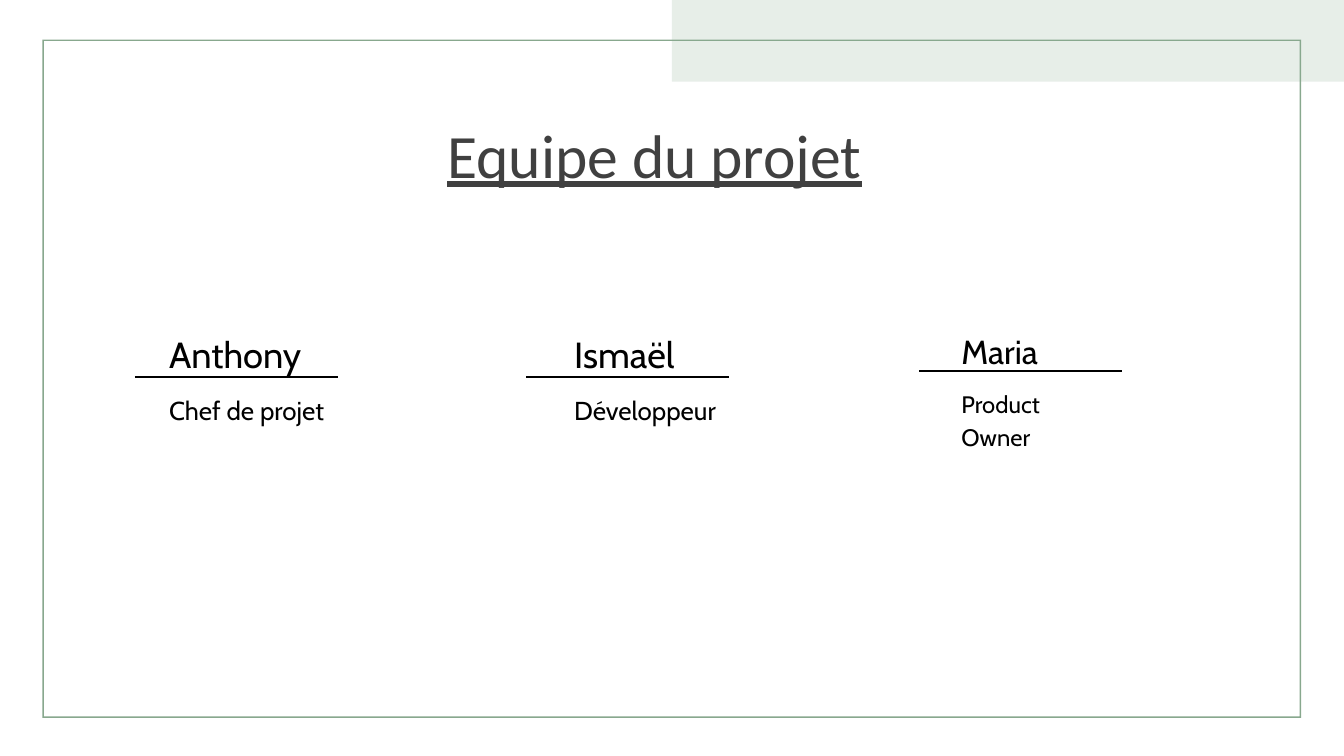
"""Build the project team slide."""
from pptx import Presentation
from pptx.dml.color import RGBColor
from pptx.enum.shapes import MSO_CONNECTOR, MSO_SHAPE
from pptx.enum.text import MSO_ANCHOR, PP_ALIGN
from pptx.oxml.ns import qn
from pptx.util import Cm, Pt
from lxml.etree import SubElement

PALE = RGBColor(0xE7, 0xEE, 0xE8)
GREEN = RGBColor(0x88, 0xA8, 0x8E)
GREY = RGBColor(0x40, 0x40, 0x40)
BLACK = RGBColor(0, 0, 0)

deck = Presentation()
deck.slide_width, deck.slide_height = Cm(33.87), Cm(19.05)
slide = deck.slides.add_slide(deck.slide_layouts[6])
shapes = slide.shapes


def add_panel(kind, box, color):
    panel = shapes.add_shape(kind, *map(Cm, box))
    panel.shadow.inherit = False
    panel.fill.solid()
    panel.fill.fore_color.rgb = color
    panel.line.fill.background()
    return panel


def add_words(para, text, font, size, color):
    run = para.add_run()
    run.text = text
    run.font.name = font
    run.font.size = Pt(size)
    run.font.color.rgb = color
    return run


add_panel(MSO_SHAPE.RECTANGLE, (16.93, 0, 16.94, 2.06), PALE)
border = add_panel(MSO_SHAPE.FRAME, (1.07, 1, 31.72, 17.09), GREEN)
border.adjustments[0] = 0.002

title = shapes.add_textbox(Cm(8.79), Cm(2.54), Cm(15.42), Cm(2.9)).text_frame
title.word_wrap = True
title.vertical_anchor = MSO_ANCHOR.MIDDLE
head = title.paragraphs[0]
head.alignment = PP_ALIGN.CENTER
head.line_spacing = 0.9
add_words(head, "Equipe du projet", "Calibri", 44, GREY).font.underline = True

team = [
    ("Anthony", "Chef de projet", 4.01, 4.78, 2.9, 25.9, 18.5, 3.4, 9.5),
    ("Ismaël", "Développeur", 14.22, 5.41, 2.9, 25.9, 18.5, 13.26, 9.5),
    ("Maria", "Product Owner", 23.98, 4.34, 3.33, 23.8, 17, 23.16, 9.35),
]
for name, role, left, width, height, big, small, start, level in team:
    frame = shapes.add_textbox(Cm(left), Cm(8.08), Cm(width), Cm(height)).text_frame
    frame.word_wrap = True
    first, second = frame.paragraphs[0], frame.add_paragraph()
    first.line_spacing = second.line_spacing = 1.15
    second.space_before = Pt(10)
    add_words(first, name, "Cabin", big, BLACK)
    add_words(second, role, "Cabin", small, BLACK)

    rule = shapes.add_connector(
        MSO_CONNECTOR.STRAIGHT, Cm(start), Cm(level), Cm(start + 5.12), Cm(level))
    rule.line.color.rgb = BLACK
    rule.line.width = Pt(1.5)
    SubElement(rule._element.spPr, qn("a:effectLst"))

deck.save("out.pptx")
